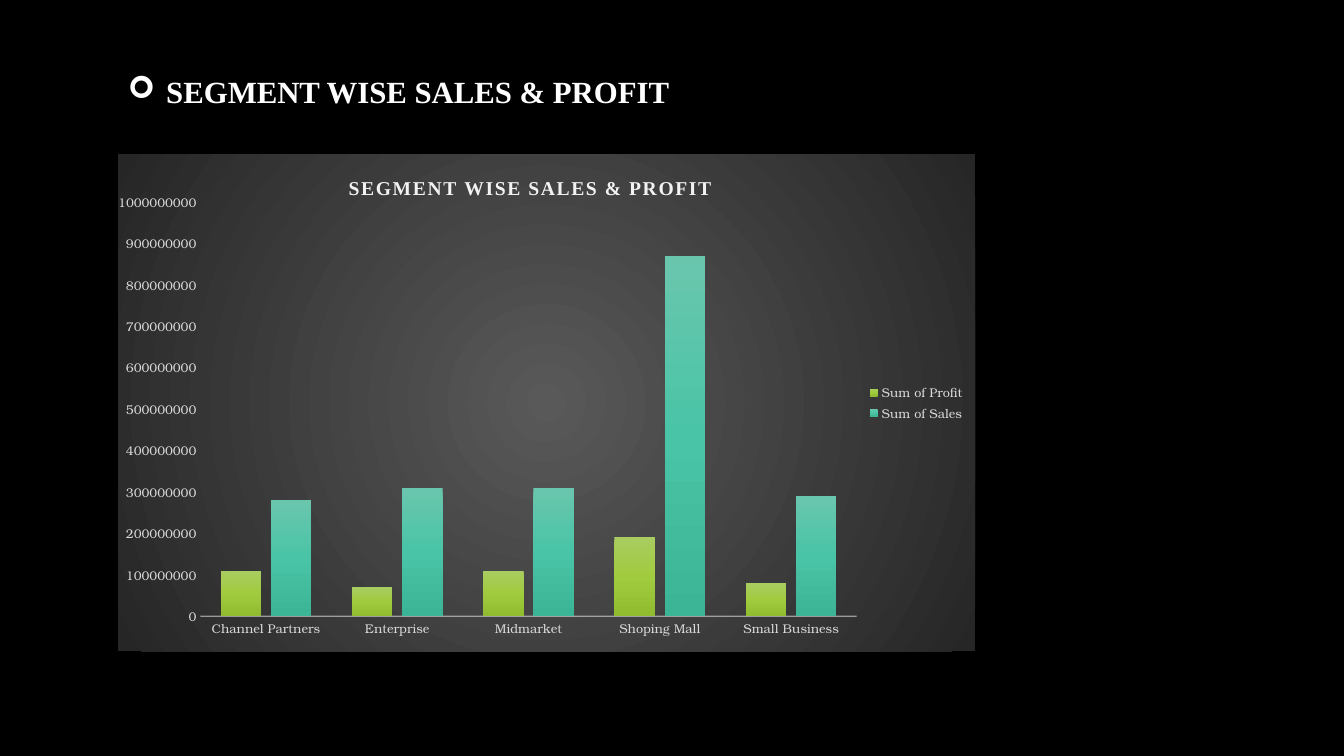
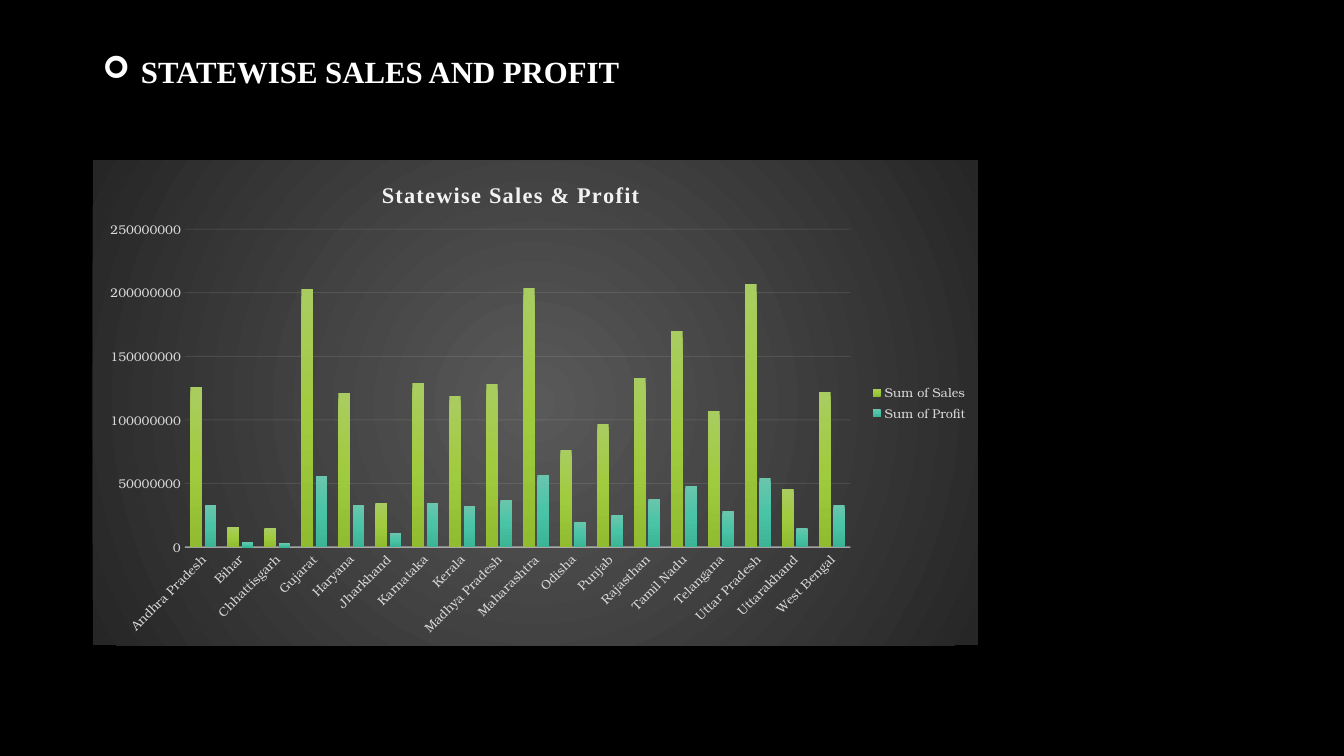
from dataclasses import dataclass
from lxml.etree import SubElement
from pptx import Presentation
from pptx.chart.data import CategoryChartData
from pptx.dml.color import RGBColor
from pptx.enum.chart import XL_CHART_TYPE as ChartType, XL_LEGEND_POSITION as LegendPos, XL_TICK_MARK as Tick
from pptx.enum.text import MSO_ANCHOR as Anchor
from pptx.oxml import parse_xml
from pptx.oxml.ns import nsdecls, qn
from pptx.util import Inches, Pt

BLACK = RGBColor(0x00, 0x00, 0x00)
WHITE = RGBColor(0xFF, 0xFF, 0xFF)
PALE = RGBColor(0xF2, 0xF2, 0xF2)
LABEL = RGBColor(0xD9, 0xD9, 0xD9)
GREENS = (RGBColor(0xA9, 0xCC, 0x61), RGBColor(0xA1, 0xCB, 0x3E), RGBColor(0x92, 0xBC, 0x30))
TEALS = (RGBColor(0x69, 0xC6, 0xAD), RGBColor(0x4A, 0xC4, 0xA6), RGBColor(0x3C, 0xB4, 0x96))
GREYS = (RGBColor(0x59, 0x59, 0x59), RGBColor(0x26, 0x26, 0x26))
HEAD_FONT = "Times New Roman"
CHART_FONT = "TeX Gyre Bonum"
SLIDE_W, SLIDE_H = Inches(13.33), Inches(7.5)
MILLION = 1_000_000
LINEAR = '<a:lin ang="5400000" scaled="0"/>'
RADIAL = '<a:path path="circle"><a:fillToRect l="50000" t="50000" r="50000" b="50000"/></a:path>'


@dataclass(frozen=True)
class Box:
    x: float
    y: float
    w: float
    h: float

    def emu(self) -> tuple:
        return (int(SLIDE_W * self.x / 100), int(SLIDE_H * self.y / 100),
                int(SLIDE_W * self.w / 100), int(SLIDE_H * self.h / 100))


@dataclass(frozen=True)
class ChartSlide:
    heading: str
    heading_box: Box
    chart_box: Box
    title: str
    title_size: int
    title_at: tuple
    plot: Box
    categories: tuple
    series: dict
    top: int
    step: int
    grid: bool = False
    label_turn: int = 0


SLIDES = (
    ChartSlide(
        heading="SEGMENT WISE SALES & PROFIT",
        heading_box=Box(8.78, 4.93, 60.84, 11.73),
        chart_box=Box(8.78, 20.4, 63.77, 65.73),
        title="SEGMENT WISE SALES & PROFIT", title_size=14, title_at=(26.5, 3.5),
        plot=Box(9.6, 9.6, 76.6, 83.4),
        categories=("Channel Partners", "Enterprise", "Midmarket", "Shoping Mall", "Small Business"),
        series={"Sum of Profit": (110, 70, 110, 190, 80),
                "Sum of Sales": (280, 310, 310, 870, 290)},
        top=1000, step=100),
    ChartSlide(
        heading="STATEWISE SALES AND PROFIT",
        heading_box=Box(6.9, 4.8, 86.27, 6.93),
        chart_box=Box(6.9, 21.2, 65.87, 64.13),
        title="Statewise Sales & Profit", title_size=16, title_at=(32.2, 3.5),
        plot=Box(10.4, 14.2, 75.2, 65.6),
        categories=("Andhra Pradesh", "Bihar", "Chhattisgarh", "Gujarat", "Haryana", "Jharkhand",
                    "Karnataka", "Kerala", "Madhya Pradesh", "Maharashtra", "Odisha", "Punjab",
                    "Rajasthan", "Tamil Nadu", "Telangana", "Uttar Pradesh", "Uttarakhand",
                    "West Bengal"),
        series={"Sum of Sales": (126, 16, 15, 203, 121, 35, 129, 119, 128, 204, 76, 97, 133, 170,
                                 107, 207, 46, 122),
                "Sum of Profit": (33, 4, 3, 56, 33, 11, 35, 32, 37, 57, 20, 25, 38, 48, 28, 54,
                                  15, 33)},
        top=250, step=50, grid=True, label_turn=-45),
)


def style_font(font, *, name: str, color: RGBColor, size: float, bold: bool = False) -> None:
    font.name, font.size, font.bold = name, Pt(size), bold
    font.color.rgb = color


def write(p, text: str, *, spacing: int = 0, **fmt):
    r = p.add_run()
    r.text = text
    style_font(r.font, **fmt)
    if spacing:
        r.font._element.set("spc", str(spacing))


def gradient(colors: tuple, direction: str):
    last = len(colors) - 1
    stops = "".join(f'<a:gs pos="{100000 * i // last}"><a:srgbClr val="{c}"/></a:gs>'
                    for i, c in enumerate(colors))
    return parse_xml(f'<a:gradFill {nsdecls("a")} rotWithShape="1">'
                     f'<a:gsLst>{stops}</a:gsLst>{direction}</a:gradFill>')


def style_line(line, width: float, alpha: int) -> None:
    line.width = Pt(width)
    line.color.rgb = PALE
    color = line._ln.find(".//" + qn("a:srgbClr"))
    SubElement(color, qn("a:alpha")).set("val", str(alpha * 1000))


def set_layout(parent, index: int, **shares: float) -> None:
    for old in parent.findall(qn("c:layout")):
        parent.remove(old)
    inner = '<c:layoutTarget val="inner"/>' if "w" in shares else ""
    modes = "".join(f'<c:{k}Mode val="edge"/>' for k in shares if k in "xy")
    values = "".join(f'<c:{k} val="{v / 100:.3f}"/>' for k, v in shares.items())
    parent.insert(index, parse_xml(f'<c:layout {nsdecls("c")}><c:manualLayout>{inner}{modes}{values}'
                                   '</c:manualLayout></c:layout>'))


def add_heading(slide, text: str, box: Box) -> None:
    tf = slide.shapes.add_textbox(*box.emu()).text_frame
    tf.word_wrap = True
    tf.vertical_anchor = Anchor.MIDDLE
    p = tf.paragraphs[0]
    p.line_spacing = 1.5
    pPr = p._p.get_or_add_pPr()
    indent = Inches(0.38)
    pPr.set("marL", str(indent))
    pPr.set("indent", str(-indent))
    SubElement(pPr, qn("a:buFont")).set("typeface", "Wingdings")
    SubElement(pPr, qn("a:buChar")).set("char", "➢")
    write(p, text, name=HEAD_FONT, color=WHITE, size=22, bold=True)


def style_axes(chart, spec_: ChartSlide) -> None:
    cat, val = chart.category_axis, chart.value_axis
    for axis in (cat, val):
        axis.major_tick_mark = axis.minor_tick_mark = Tick.NONE
        style_font(axis.tick_labels.font, name=CHART_FONT, color=LABEL, size=9)
    style_line(cat.format.line, 1, 54)
    if spec_.label_turn:
        body = cat._element.find(qn("c:txPr")).find(qn("a:bodyPr"))
        body.set("rot", str(spec_.label_turn * 60000))
        body.set("vert", "horz")
    val.format.line.fill.background()
    val.minimum_scale, val.maximum_scale = 0, spec_.top * MILLION
    val.major_unit = spec_.step * MILLION
    val.has_major_gridlines = spec_.grid
    if spec_.grid:
        style_line(val.major_gridlines.format.line, 0.75, 10)


def add_column_chart(slide, item: ChartSlide) -> None:
    data = CategoryChartData(number_format="General")
    data.categories = item.categories
    for name, values in item.series.items():
        data.add_series(name, [v * MILLION for v in values])
    chart = slide.shapes.add_chart(ChartType.COLUMN_CLUSTERED, *item.chart_box.emu(), data).chart
    style_font(chart.font, name=CHART_FONT, color=WHITE, size=10)

    background = parse_xml(f'<c:spPr {nsdecls("c", "a")}><a:ln><a:noFill/></a:ln></c:spPr>')
    background.insert(0, gradient(GREYS, RADIAL))
    root = chart._chartSpace
    root.find(qn("c:chart")).addnext(background)

    chart.has_title = True
    title = chart.chart_title
    write(title.text_frame.paragraphs[0], item.title, spacing=100,
          name=HEAD_FONT, color=PALE, size=item.title_size, bold=True)
    left, top = item.title_at
    set_layout(title._element, 1, x=left, y=top)
    plot_box = item.plot
    set_layout(root.find(".//" + qn("c:plotArea")), 0,
               x=plot_box.x, y=plot_box.y, w=plot_box.w, h=plot_box.h)

    chart.has_legend = True
    legend = chart.legend
    legend.position = LegendPos.RIGHT
    legend.include_in_layout = False
    style_font(legend.font, name=CHART_FONT, color=LABEL, size=9)

    plot = chart.plots[0]
    plot.gap_width, plot.overlap, plot.vary_by_categories = 100, -24, False
    for series, colors in zip(plot.series, (GREENS, TEALS)):
        series.invert_if_negative = False
        series._element.get_or_add_spPr().insert(0, gradient(colors, LINEAR))
    style_axes(chart, item)


def main() -> None:
    prs = Presentation()
    prs.slide_width, prs.slide_height = SLIDE_W, SLIDE_H
    fill = prs.slide_master.background.fill
    fill.solid()
    fill.fore_color.rgb = BLACK
    for item in SLIDES:
        slide = prs.slides.add_slide(prs.slide_layouts[6])
        add_heading(slide, item.heading, item.heading_box)
        add_column_chart(slide, item)
    prs.save("out.pptx")


if __name__ == "__main__":
    main()
